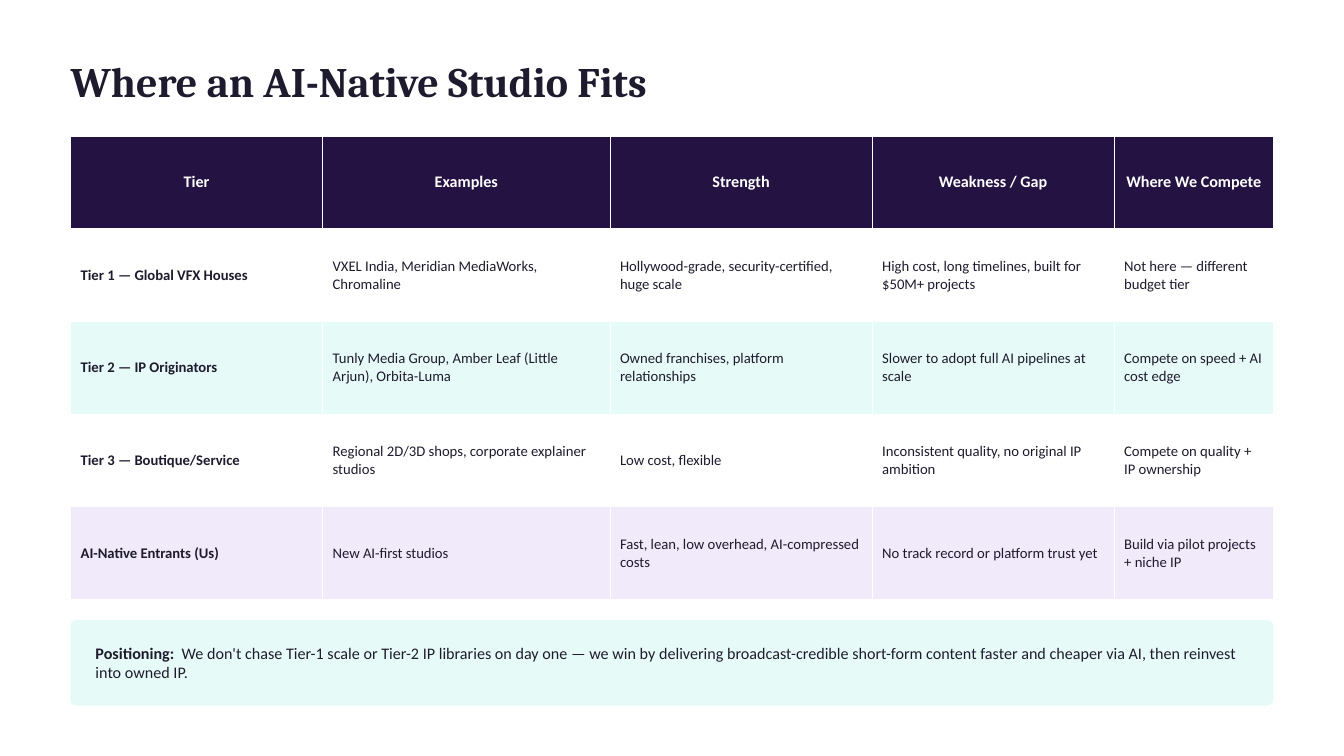
from dataclasses import dataclass

from lxml import etree
from pptx import Presentation
from pptx.dml.color import RGBColor
from pptx.enum.shapes import MSO_SHAPE
from pptx.enum.text import MSO_ANCHOR, MSO_AUTO_SIZE, PP_ALIGN
from pptx.oxml.ns import qn
from pptx.util import Inches, Pt


@dataclass(frozen=True)
class Theme:
    ink: str = "1F1B2E"
    header: str = "241242"
    white: str = "FFFFFF"
    mint: str = "E6FBF8"
    lilac: str = "F1EAFB"
    heading_font: str = "Cambria"
    body_font: str = "Calibri"
    title_size: float = 30
    lead_size: float = 11.5
    cell_size: float = 10.5
    border: float = 0.75


THEME = Theme()
MARGIN = 0.7
CONTENT_WIDTH = 11.93

HEADERS = ["Tier", "Examples", "Strength", "Weakness / Gap", "Where We Compete"]
COLUMN_WIDTHS = [2.5, 2.85, 2.6, 2.4, 1.58]
TIERS = [
    (THEME.white, ["Tier 1 — Global VFX Houses",
                   "VXEL India, Meridian MediaWorks, Chromaline",
                   "Hollywood-grade, security-certified, huge scale",
                   "High cost, long timelines, built for $50M+ projects",
                   "Not here — different budget tier"]),
    (THEME.mint, ["Tier 2 — IP Originators",
                  "Tunly Media Group, Amber Leaf (Little Arjun), Orbita-Luma",
                  "Owned franchises, platform relationships",
                  "Slower to adopt full AI pipelines at scale",
                  "Compete on speed + AI cost edge"]),
    (THEME.white, ["Tier 3 — Boutique/Service",
                   "Regional 2D/3D shops, corporate explainer studios",
                   "Low cost, flexible",
                   "Inconsistent quality, no original IP ambition",
                   "Compete on quality + IP ownership"]),
    (THEME.lilac, ["AI-Native Entrants (Us)",
                   "New AI-first studios",
                   "Fast, lean, low overhead, AI-compressed costs",
                   "No track record or platform trust yet",
                   "Build via pilot projects + niche IP"]),
]
POSITIONING = ("We don't chase Tier-1 scale or Tier-2 IP libraries on day one — we win by "
               "delivering broadcast-credible short-form content faster and cheaper via AI, "
               "then reinvest into owned IP.")


def paint(target, color):
    target.fill.solid()
    target.fill.fore_color.rgb = RGBColor.from_string(color)


def add_run(paragraph, text, size, color=THEME.ink, bold=False, font=THEME.body_font):
    run = paragraph.add_run()
    run.text = text
    run.font.name = font
    run.font.size = Pt(size)
    run.font.bold = bold
    run.font.color.rgb = RGBColor.from_string(color)


def set_frame(frame, left=0, right=0):
    frame.word_wrap = True
    frame.auto_size = MSO_AUTO_SIZE.NONE
    frame.vertical_anchor = MSO_ANCHOR.MIDDLE
    frame.margin_left, frame.margin_right = Inches(left), Inches(right)
    frame.margin_top = frame.margin_bottom = 0


def set_borders(cell, color, width):
    properties = cell._tc.get_or_add_tcPr()
    for index, side in enumerate(("a:lnL", "a:lnR", "a:lnT", "a:lnB")):
        line = etree.Element(qn(side), w=str(Pt(width)))
        fill = etree.SubElement(line, qn("a:solidFill"))
        etree.SubElement(fill, qn("a:srgbClr"), val=color)
        properties.insert(index, line)


def place_title(slide, box, text):
    title = slide.shapes.title
    title.left, title.top, title.width, title.height = map(Inches, box)
    set_frame(title.text_frame)
    paragraph = title.text_frame.paragraphs[0]
    paragraph.alignment = PP_ALIGN.LEFT
    add_run(paragraph, text, THEME.title_size, bold=True, font=THEME.heading_font)


def place_tier_table(slide, box):
    rows = [(THEME.header, HEADERS)] + TIERS
    table = slide.shapes.add_table(len(rows), len(HEADERS), *map(Inches, box)).table
    for column, width in zip(table.columns, COLUMN_WIDTHS):
        column.width = Inches(box[2] * width / sum(COLUMN_WIDTHS))
    for r, (color, texts) in enumerate(rows):
        table.rows[r].height = Inches(box[3] / len(rows))
        is_header = r == 0
        for c, text in enumerate(texts):
            cell = table.cell(r, c)
            paint(cell, color)
            set_borders(cell, THEME.white, THEME.border)
            cell.vertical_anchor = MSO_ANCHOR.MIDDLE
            paragraph = cell.text_frame.paragraphs[0]
            paragraph.alignment = PP_ALIGN.CENTER if is_header else PP_ALIGN.LEFT
            add_run(paragraph, text,
                    THEME.lead_size if is_header else THEME.cell_size,
                    THEME.white if is_header else THEME.ink,
                    bold=is_header or c == 0)


def place_positioning(slide, box):
    panel = slide.shapes.add_shape(MSO_SHAPE.ROUNDED_RECTANGLE, *map(Inches, box))
    panel.adjustments[0] = 0.07
    panel.shadow.inherit = False
    panel.line.fill.background()
    paint(panel, THEME.mint)
    set_frame(panel.text_frame, left=0.23, right=0.26)
    paragraph = panel.text_frame.paragraphs[0]
    paragraph.alignment = PP_ALIGN.LEFT
    add_run(paragraph, "Positioning:  ", THEME.lead_size, bold=True)
    add_run(paragraph, POSITIONING, THEME.lead_size)


def build():
    deck = Presentation()
    deck.slide_width, deck.slide_height = Inches(13.33), Inches(7.5)
    slide = deck.slides.add_slide(deck.slide_layouts[5])
    paint(slide.background, THEME.white)
    # Heading, comparison table, closing statement
    place_title(slide, (MARGIN, 0.45, 11, 0.7), "Where an AI-Native Studio Fits")
    place_tier_table(slide, (MARGIN, 1.35, CONTENT_WIDTH, 4.6))
    place_positioning(slide, (MARGIN, 6.15, CONTENT_WIDTH, 0.85))
    deck.save("out.pptx")


build()
